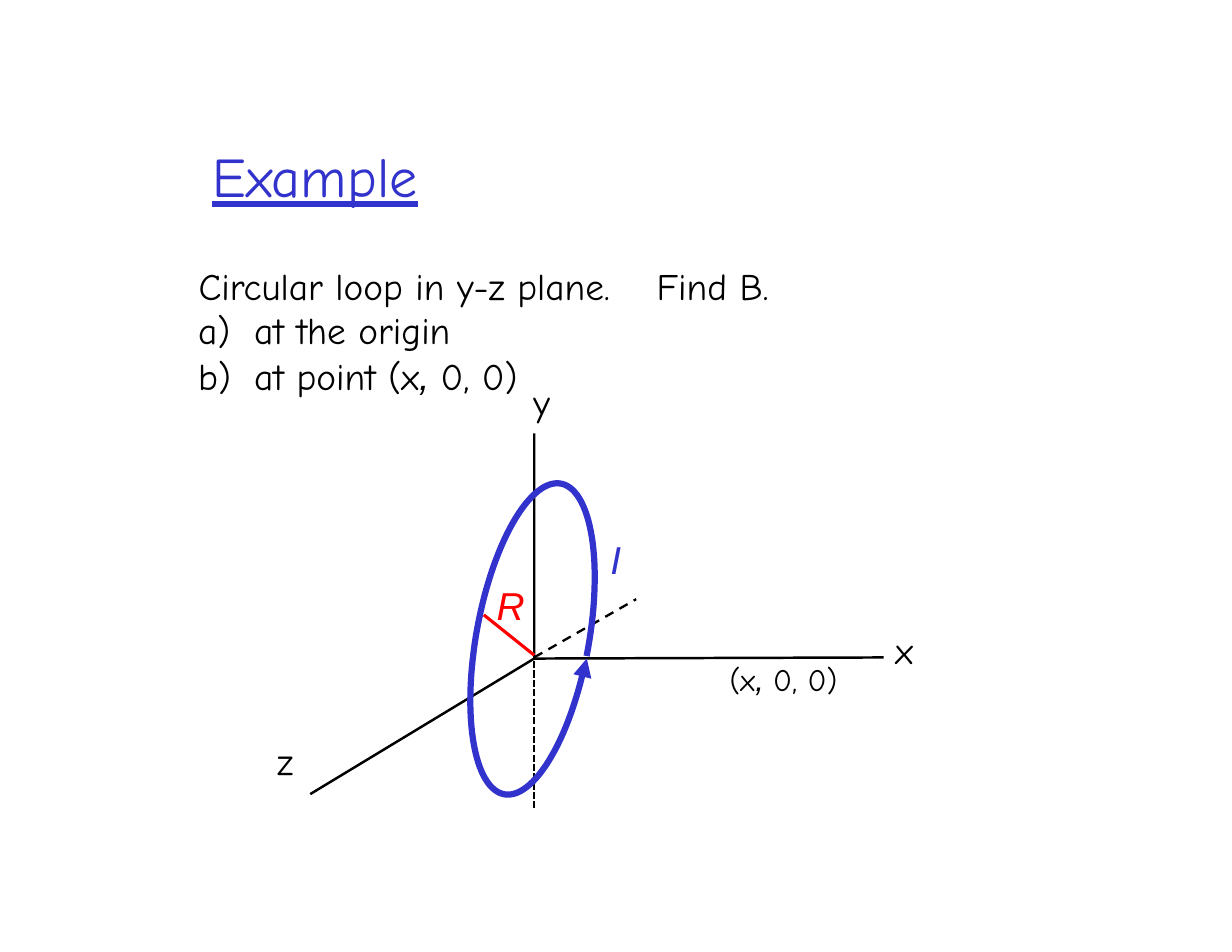
from math import asin, cos, pi, sin

from lxml.etree import SubElement
from pptx import Presentation
from pptx.dml.color import RGBColor
from pptx.enum.dml import MSO_LINE
from pptx.enum.shapes import MSO_CONNECTOR
from pptx.enum.text import MSO_UNDERLINE
from pptx.oxml.ns import qn
from pptx.util import Inches, Pt

BLACK = RGBColor(0, 0, 0)
BLUE = RGBColor(0x32, 0x32, 0xCC)
RED = RGBColor(0xFF, 0, 0)
COMIC, ARIAL = "Comic Neue", "Arial"

deck = Presentation()
deck.slide_width, deck.slide_height = Inches(11), Inches(8.5)
slide = deck.slides.add_slide(deck.slide_layouts[6])
shapes = slide.shapes


def write(box, paras, top=0.01):
    """Add a text box; each paragraph is a list of (text, size, font, colour)."""
    frame = shapes.add_textbox(*[Inches(v) for v in box]).text_frame
    frame.word_wrap = True
    frame.margin_left = frame.margin_right = frame.margin_bottom = 0
    frame.margin_top = Inches(top)
    for i, runs in enumerate(paras):
        para = frame.paragraphs[0] if i == 0 else frame.add_paragraph()
        para._p.get_or_add_pPr().set("marL", str(Pt(1)))
        for text, size, face, hue in runs:
            run = para.add_run()
            run.text = text
            font = run.font
            font.size, font.name, font.color.rgb = Pt(size), face, hue
            font.italic = face == ARIAL
    frame.paragraphs[0].space_before = Pt(1)
    return frame.paragraphs


def draw(start, end, hue=BLACK, width=1.5, dash=None):
    """Add a straight line between two points."""
    line = shapes.add_connector(
        MSO_CONNECTOR.STRAIGHT, *[Inches(v) for v in start + end])
    line.line.color.rgb, line.line.width = hue, Pt(width)
    if dash:
        line.line.dash_style = dash
    SubElement(line._element.spPr, qn("a:effectLst"))


# Title
title = write((1.88, 1.24, 1.98, 0.63), [[("Example", 36, COMIC, BLUE)]], 0.02)
font = title[0].runs[0].font
font.underline = MSO_UNDERLINE.HEAVY_LINE
font._element.set("spc", "20")

# Problem statement
body = write((1.76, 2.34, 5.17, 1.23), [
    [("Circular loop in y-z plane.\tFind B.", 24, COMIC, BLACK)],
    [("at the origin", 24, COMIC, BLACK)],
    [("at point (x", 24, COMIC, BLACK), (", ", 25, ARIAL, BLACK),
     ("0, 0)", 24, COMIC, BLACK)],
])
tabs = SubElement(body[0]._p.get_or_add_pPr(), qn("a:tabLst"))
SubElement(tabs, qn("a:tab"), pos=str(Inches(4.09)), algn="l")
for para, gap in zip(body[1:], (28.3, 29.5)):
    para.line_spacing = Pt(gap)
    props = para._p.get_or_add_pPr()
    props.set("marL", str(Inches(0.51)))
    props.set("indent", str(Inches(-0.5)))
    SubElement(props, qn("a:buAutoNum"), type="alphaLcParenR")

# Axes: y down to the origin and out along x, then z
pen = shapes.build_freeform(Inches(4.77), Inches(3.87))
pen.add_line_segments([(Inches(4.77), Inches(5.88)),
                       (Inches(7.89), Inches(5.87))], close=False)
pen.move_to(Inches(4.77), Inches(5.88))
pen.add_line_segments([(Inches(2.77), Inches(7.09))], close=False)
axes = pen.convert_to_shape()
axes.shadow.inherit = False
axes.fill.background()
axes.line.color.rgb, axes.line.width = BLACK, Pt(1.6)

# Far side of the axes
draw((4.77, 5.87), (5.68, 5.35), dash=MSO_LINE.DASH)
draw((4.77, 5.82), (4.77, 7.21), dash=MSO_LINE.SQUARE_DOT)

# Current loop: a leaning ellipse, open at the arrowhead
first, last = asin(-0.11), 2 * pi + asin(-0.23)
steps = 120
points = []
for i in range(steps + 1):
    turn = first + (last - first) * i / steps
    points.append((Inches(4.755 + 0.51 * cos(turn) + 0.22 * sin(turn)),
                   Inches(5.705 - 1.39 * sin(turn))))
pen = shapes.build_freeform(*points[0])
pen.add_line_segments(points[1:], close=False)
loop = pen.convert_to_shape()
loop.shadow.inherit = False
loop.fill.background()
loop.line.color.rgb, loop.line.width = BLUE, Pt(4)

# Arrowhead of the current
pen = shapes.build_freeform(Inches(5.24), Inches(5.88))
pen.add_line_segments([(Inches(5.28), Inches(6.06)),
                       (Inches(5.12), Inches(6.02))])
head = pen.convert_to_shape()
head.shadow.inherit = False
head.fill.solid()
head.fill.fore_color.rgb = BLUE
head.line.fill.background()

# Radius
draw((4.77, 5.85), (4.32, 5.49), RED, 2)

# Axis names
for name, left, top, wide in (("x", 7.98, 5.59, 0.23), ("z", 2.46, 6.58, 0.21),
                              ("y", 4.75, 3.38, 0.2)):
    write((left, top, wide, 0.43), [[(name, 24, COMIC, BLACK)]])

# Current and radius names
marks = write((4.42, 4.76, 1.23, 0.86),
              [[("I", 25, ARIAL, BLUE)], [("R", 25, ARIAL, RED)]], 0.02)
marks[0]._p.pPr.set("marL", str(Inches(1.03)))
for para in marks:
    para.line_spacing = Pt(29.9)

# Point on the x axis
write((6.5, 5.87, 1.05, 0.38), [[
    ("(x", 20, COMIC, BLACK), (", ", 21, ARIAL, BLACK),
    ("0, 0)", 20, COMIC, BLACK)]])

deck.save("out.pptx")
